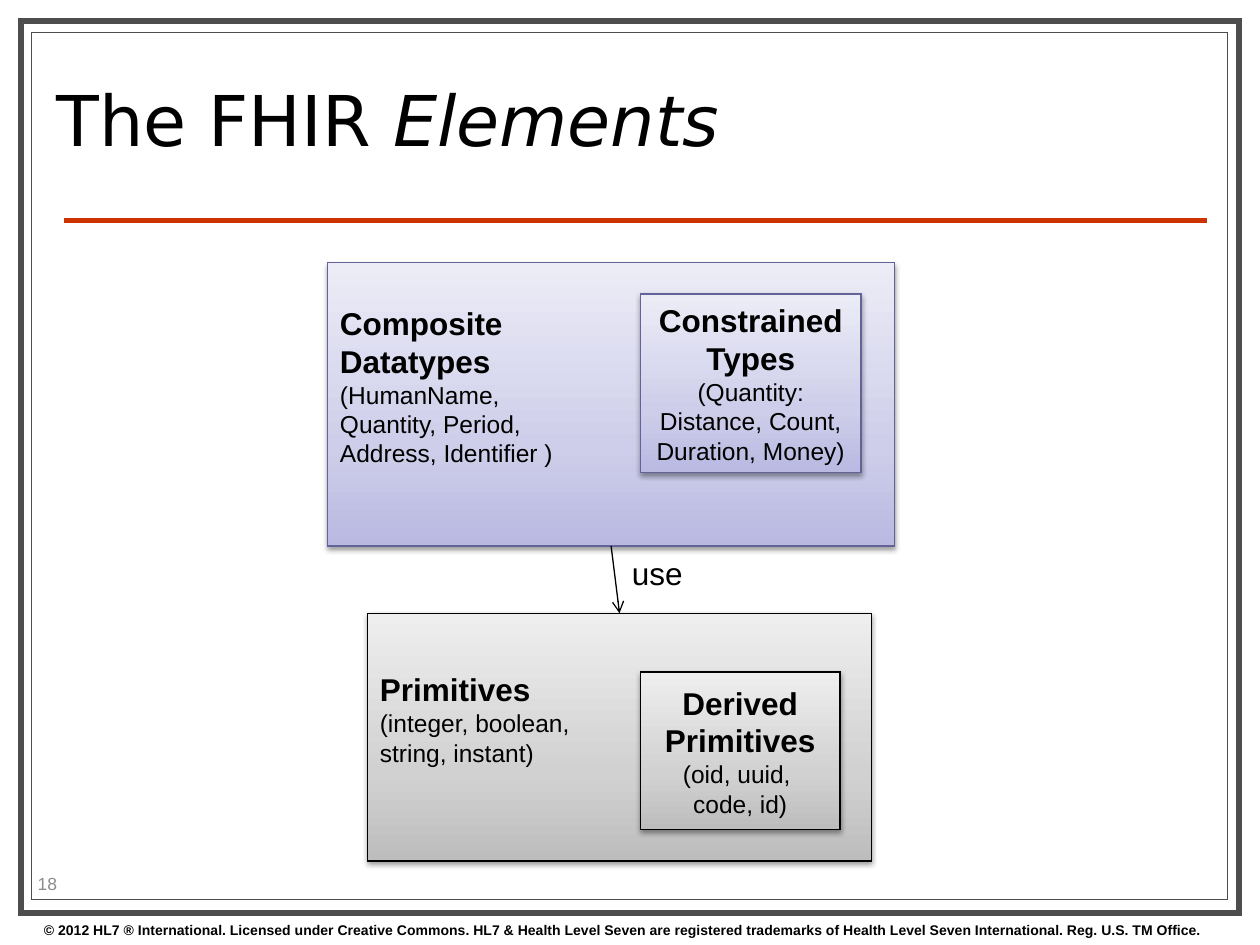
from pptx import Presentation
from pptx import util as u
from pptx.dml.color import RGBColor
from pptx.enum import shapes, text
from pptx.oxml import parse_xml
from pptx.oxml.ns import nsdecls, qn

COLS, ROWS = 120, 90
HUES = {
    "ink": "000000", "paper": "FFFFFF", "frame": "4D4D4D", "rule": "CC3300",
    "page": "8C8C8C", "edge": "636397",
}
FADES = {
    "gray": ("BDBDBD", "D1D1D1", "EEEEEE"),
    "blue": ("B9B9E2", "CECEEA", "ECECF7"),
}
STOPS = (0, 35, 100)

deck = Presentation()
deck.slide_width, deck.slide_height = u.Inches(10), u.Inches(7.5)
slide = deck.slides.add_slide(deck.slide_layouts[6])


def hue(name):
    """Return a named colour."""
    return RGBColor.from_string(HUES[name])


def spot(box):
    """Turn grid columns and rows into lengths."""
    sides = (deck.slide_width / COLS, deck.slide_height / ROWS) * 2
    return [round(size * unit) for size, unit in zip(box, sides)]


def within(box, part):
    """Move a part by the corner of its box."""
    return box[0] + part[0], box[1] + part[1], part[2], part[3]


def style(run, size, color="ink", face="Arial", bold=False):
    """Set the look of one run."""
    font = run.font
    font.size, font.name, font.bold = u.Pt(size), face, bold
    font.color.rgb = hue(color)


def rect(box, edge, width):
    """Draw a plain outlined rectangle with sharp corners."""
    shape = slide.shapes.add_shape(shapes.MSO_SHAPE.RECTANGLE, *spot(box))
    shape.shadow.inherit = False
    shape.fill.solid()
    shape.fill.fore_color.rgb = hue("paper")
    shape.line.color.rgb = hue(edge)
    shape.line.width = u.Pt(width)
    shape._element.spPr.find(qn("a:ln")).append(
        parse_xml(f'<a:miter {nsdecls("a")} lim="800000"/>'))
    return shape


def line(ends, color, width, arrow=False):
    """Draw a straight line, with an arrowhead if asked."""
    link = slide.shapes.add_connector(shapes.MSO_CONNECTOR.STRAIGHT, *spot(ends))
    link.line.color.rgb = hue(color)
    link.line.width = u.Pt(width)
    props = link._element.spPr
    if arrow:
        props.find(qn("a:ln")).append(
            parse_xml(f'<a:tailEnd {nsdecls("a")} type="arrow"/>'))
    props.append(parse_xml(f'<a:effectLst {nsdecls("a")}/>'))


def label(box, words, size, wrap=True, middle=False, **look):
    """Place a text box with one line of runs."""
    frame = slide.shapes.add_textbox(*spot(box)).text_frame
    frame.word_wrap = wrap
    if middle:
        frame.vertical_anchor = text.MSO_ANCHOR.MIDDLE
    for word in words:
        run = frame.paragraphs[0].add_run()
        run.text = word
        style(run, size, **look)
    return frame.paragraphs[0]


def block(box, fade, edge, heads, notes, inner=False):
    """Draw a shaded box with bold heads over smaller notes."""
    shape = rect(box, edge, 0.75)
    shape.fill.gradient()
    shape.fill.gradient_angle = 90
    props = shape._element.spPr
    stops = props.find(qn("a:gradFill")).find(qn("a:gsLst"))
    for stop in list(stops):
        stops.remove(stop)
    for place, color in zip(STOPS, FADES[fade]):
        stops.append(parse_xml(
            f'<a:gs {nsdecls("a")} pos="{place * 1000}">'
            f'<a:srgbClr val="{color}"/></a:gs>'))
    props.find(qn("a:effectLst")).append(parse_xml(
        f'<a:outerShdw {nsdecls("a")} blurRad="40000" dist="20000" '
        'dir="5400000" rotWithShape="0"><a:srgbClr val="000000">'
        '<a:alpha val="38000"/></a:srgbClr></a:outerShdw>'))
    frame = shape.text_frame
    frame.word_wrap = True
    frame.vertical_anchor = text.MSO_ANCHOR.MIDDLE
    if not inner:
        frame.margin_bottom = u.Inches(0.34)
    frame.text = "\n".join(heads + notes)
    for rank, para in enumerate(frame.paragraphs):
        para.alignment = text.PP_ALIGN.CENTER if inner else text.PP_ALIGN.LEFT
        bold = rank < len(heads)
        style(para.runs[0], 18 if bold else 14, bold=bold)


def border(box):
    """Draw the double frame, the rule and the footer."""
    rect(within(box, (2, 2, 116, 85)), "frame", 3.5)
    rect(within(box, (3, 3.1, 113.9, 82.6)), "frame", 0.75)
    line(within(box, (6.1, 21, 115, 21)), "rule", 3)
    label(within(box, (3, 87.2, 117, 2.8)), [
        "© 2012 HL7 ® International. Licensed under Creative Commons. "
        "HL7 & Health Level Seven are registered trademarks of Health Level "
        "Seven International. Reg. U.S. TM Office."], 8, bold=True)
    label(within(box, (2.4, 82.7, 9.5, 2.9)), ["18"], 10,
          middle=True, color="page")


def title(box):
    """Write the title with its last word in italics."""
    para = label(box, ["The FHIR ", "Elements"], 40,
                 middle=True, face="DejaVu Sans")
    para.line_spacing = 0.8
    para.runs[1].font.italic = True


def simple(box):
    """Draw the primitives and the types derived from them."""
    block(box, "gray", "ink", ["Primitives"],
          ["(integer, boolean,", "string, instant)"])
    block(within(box, (26, 5.6, 19, 15)), "gray", "ink",
          ["Derived Primitives"], ["(oid, uuid, ", "code, id)"], inner=True)


def complex_types(box):
    """Draw the composite types and their constrained forms."""
    block(box, "blue", "edge", ["Composite", "Datatypes"],
          ["(HumanName, ", "Quantity, Period,", "Address, Identifier )"])
    block(within(box, (29.8, 3, 21, 17)), "blue", "edge",
          ["Constrained Types"],
          ["(Quantity: Distance, Count, Duration, Money)"], inner=True)


def usage(top, base):
    """Link the upper box to the lower one."""
    start = top[0] + top[2] / 2, top[1] + top[3]
    end = base[0] + base[2] / 2, base[1]
    line(start + end, "ink", 0.75, arrow=True)
    label((end[0], start[1] + 0.2, 7.3, 4.8), ["use"], 18, wrap=False)


def main():
    """Build and save the slide."""
    top, base = (31.2, 25, 54, 27), (35, 58.4, 48, 23.6)
    border((0, 0, COLS, ROWS))
    title((4.2, 4.3, 86, 15.5))
    simple(base)
    complex_types(top)
    usage(top, base)
    deck.save("out.pptx")


if __name__ == "__main__":
    main()
